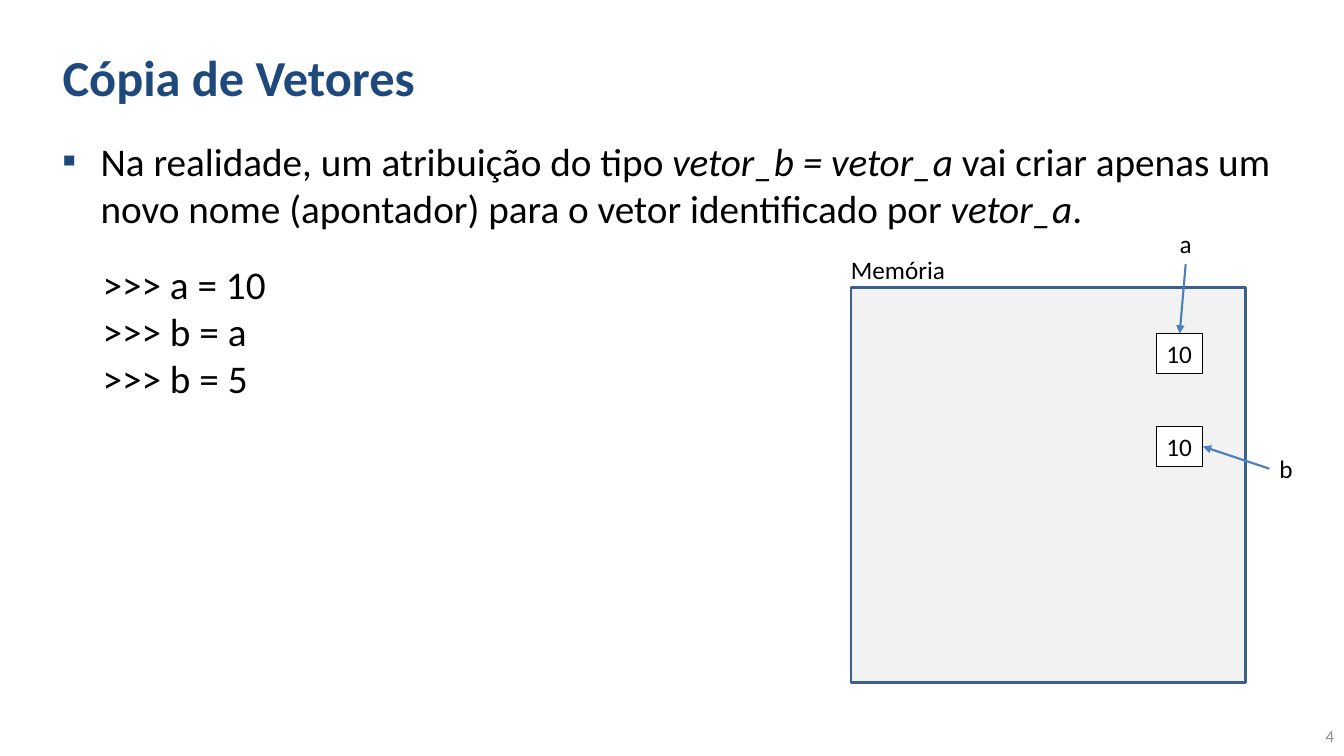
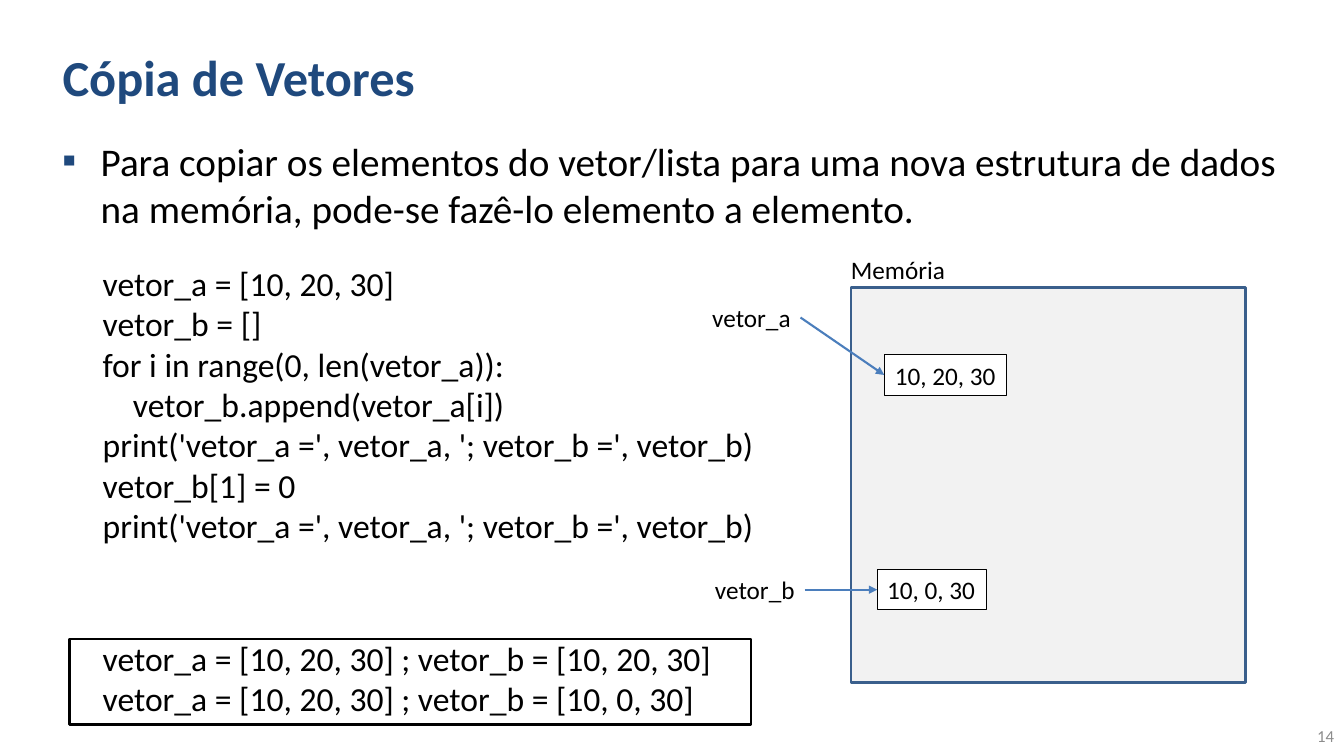
from lxml import etree
from pptx import Presentation
from pptx.dml.color import RGBColor
from pptx.enum.shapes import MSO_CONNECTOR, MSO_SHAPE
from pptx.enum.text import MSO_ANCHOR, MSO_AUTO_SIZE, PP_ALIGN
from pptx.oxml.ns import qn
from pptx.util import Pt

PX = 9144  # 100 px to the inch
FONT = "Calibri"
NAVY = RGBColor(0x1F, 0x49, 0x7D)
EDGE = RGBColor(0x3A, 0x5F, 0x8C)
BLUE = RGBColor(0x4B, 0x7E, 0xBC)
PALE = RGBColor(0xF2, 0xF2, 0xF2)
GRAY = RGBColor(0x8C, 0x8C, 0x8C)
BLACK = RGBColor(0, 0, 0)
WHITE = RGBColor(255, 255, 255)
LEFT, CENTER, RIGHT = PP_ALIGN.LEFT, PP_ALIGN.CENTER, PP_ALIGN.RIGHT
MIDDLE, NO_FIT = MSO_ANCHOR.MIDDLE, MSO_AUTO_SIZE.NONE
RECT, STRAIGHT = MSO_SHAPE.RECTANGLE, MSO_CONNECTOR.STRAIGHT
TOP_SIDE, LEFT_SIDE, BOTTOM_SIDE, RIGHT_SIDE = range(4)

TITLE = "Cópia de Vetores"
TITLE_AT = (52, 13, 1058, 125)
BODY_AT = (52, 131, 1254, 123)
PAGE_AT = (1100, 710, 233, 40)
MEMORY_AT = (844, 285, 391, 392)
MEMORY_LABEL_AT = (834, 247, 115, 40)
HANG, MARGIN, STEP = 38, 40, 30

# body: (text, italic); code: (box, size, (level, line) list);
# vars: name, its box, its side, value, its box, its side, name align, value align
SLIDES = [
    {
        "page": "4",
        "body": [
            ("Na realidade, um atribuição do tipo ", False),
            ("vetor_b = vetor_a ", True),
            ("vai criar apenas um novo nome (apontador) para o vetor "
             "identificado por ", False),
            ("vetor_a", True),
            (".", False),
        ],
        "code": [((52, 253, 224, 151), 28,
                  [(0, ">>> a = 10"), (0, ">>> b = a"), (0, ">>> b = 5")])],
        "vars": [
            ("a", (1160, 222, 32, 40), BOTTOM_SIDE,
             "10", (1147, 331, 46, 40), TOP_SIDE, LEFT, LEFT),
            ("b", (1259, 445, 34, 40), LEFT_SIDE,
             "10", (1147, 423, 46, 40), RIGHT_SIDE, LEFT, LEFT),
        ],
    },
    {
        "page": "14",
        "body": [
            ("Para copiar os elementos do vetor/lista para uma nova estrutura "
             "de dados na memória, pode-se fazê-lo elemento a elemento.", False),
        ],
        "code": [
            ((52, 256, 711, 293), 24, [
                (0, "vetor_a = [10, 20, 30]"),
                (0, "vetor_b = []"),
                (0, "for i in range(0, len(vetor_a)):"),
                (1, "vetor_b.append(vetor_a[i])"),
                (0, "print('vetor_a =', vetor_a, '; vetor_b =', vetor_b)"),
                (0, "vetor_b[1] = 0"),
                (0, "print('vetor_a =', vetor_a, '; vetor_b =', vetor_b)"),
            ]),
            ((52, 628, 669, 91), 24, [
                (0, "vetor_a = [10, 20, 30] ; vetor_b = [10, 20, 30]"),
                (0, "vetor_a = [10, 20, 30] ; vetor_b = [10, 0, 30]"),
            ]),
        ],
        "vars": [
            ("vetor_a", (695, 295, 99, 40), RIGHT_SIDE,
             "10, 20, 30", (877, 352, 121, 40), LEFT_SIDE, RIGHT, CENTER),
            ("vetor_b", (698, 565, 100, 40), RIGHT_SIDE,
             "10, 0, 30", (870, 565, 108, 40), LEFT_SIDE, RIGHT, LEFT),
        ],
        "frame": (69, 634, 676, 85),
    },
]


def emu(box):
    return [n * PX for n in box]


def style(para, size, color=BLACK, align=LEFT, bold=False):
    para.alignment = align
    font = para.font
    font.name, font.size, font.bold = FONT, Pt(size), bold
    font.color.rgb = color


def add_text(slide, box, text="", size=18, color=BLACK, align=LEFT, wrap=False):
    shape = slide.shapes.add_textbox(*emu(box))
    frame = shape.text_frame
    frame.word_wrap = wrap
    frame.text = text
    style(frame.paragraphs[0], size, color, align)
    return shape


def add_rect(slide, box, fill, line, width):
    shape = slide.shapes.add_shape(RECT, *emu(box))
    shape.shadow.inherit = False
    if fill is None:
        shape.fill.background()
    else:
        shape.fill.solid()
        shape.fill.fore_color.rgb = fill
    shape.line.color.rgb = line
    shape.line.width = Pt(width)
    return shape


def add_title(slide):
    title = slide.shapes.title
    title.left, title.top, title.width, title.height = emu(TITLE_AT)
    frame = title.text_frame
    frame.text = TITLE
    frame.auto_size = NO_FIT
    frame.vertical_anchor = MIDDLE
    style(frame.paragraphs[0], 36, NAVY, bold=True)


def add_body(slide, runs):
    """Add the bulleted paragraph under the title."""
    shape = slide.shapes.add_textbox(*emu(BODY_AT))
    shape.text_frame.word_wrap = True
    para = shape.text_frame.paragraphs[0]
    props = para._p.get_or_add_pPr()
    props.set("marL", str(HANG * PX))
    props.set("indent", str(-HANG * PX))
    tint = etree.SubElement(props, qn("a:buClr"))
    etree.SubElement(tint, qn("a:srgbClr")).set("val", str(NAVY))
    etree.SubElement(props, qn("a:buFont")).set("typeface", FONT)
    etree.SubElement(props, qn("a:buChar")).set("char", "▪")
    style(para, 28)
    for text, italic in runs:
        run = para.add_run()
        run.text = text
        run.font.italic = italic


def add_code(slide, box, size, lines):
    frame = add_text(slide, box, "\n".join(text for _, text in lines)).text_frame
    for para, (level, _) in zip(frame.paragraphs, lines):
        props = para._p.get_or_add_pPr()
        props.set("marL", str((MARGIN + level * STEP) * PX))
        props.set("indent", "0")
        style(para, size)


def add_arrow(slide, start, start_side, end, end_side):
    arrow = slide.shapes.add_connector(STRAIGHT, 0, 0, 0, 0)
    arrow.begin_connect(start, start_side)
    arrow.end_connect(end, end_side)
    arrow.line.color.rgb = BLUE
    arrow.line.width = Pt(1.5)
    tip = etree.SubElement(arrow.line._get_or_add_ln(), qn("a:tailEnd"))
    tip.set("type", "triangle")
    etree.SubElement(arrow._element.spPr, qn("a:effectLst"))


def add_var(slide, name, name_at, name_side, value, value_at, value_side,
            name_align, value_align):
    """Add a variable name, its value in memory and the arrow between them."""
    cell = add_rect(slide, value_at, WHITE, BLACK, 0.75)
    cell.text_frame.word_wrap = False
    cell.text_frame.text = value
    style(cell.text_frame.paragraphs[0], 18, align=value_align)
    label = add_text(slide, name_at, name, align=name_align)
    add_arrow(slide, label, name_side, cell, value_side)


def add_page(slide, number):
    page = add_text(slide, PAGE_AT, number, 12, GRAY, RIGHT, True)
    page.text_frame.vertical_anchor = MIDDLE


def build(deck, data):
    slide = deck.slides.add_slide(deck.slide_layouts[5])
    add_title(slide)
    add_body(slide, data["body"])
    add_page(slide, data["page"])
    add_rect(slide, MEMORY_AT, PALE, EDGE, 2)
    add_text(slide, MEMORY_LABEL_AT, "Memória")
    for block in data["code"]:
        add_code(slide, *block)
    for var in data["vars"]:
        add_var(slide, *var)
    if "frame" in data:
        add_rect(slide, data["frame"], None, BLACK, 2)


def main():
    deck = Presentation()
    deck.slide_width, deck.slide_height = emu((1333, 750))
    for data in SLIDES:
        build(deck, data)
    deck.save("out.pptx")


if __name__ == "__main__":
    main()
